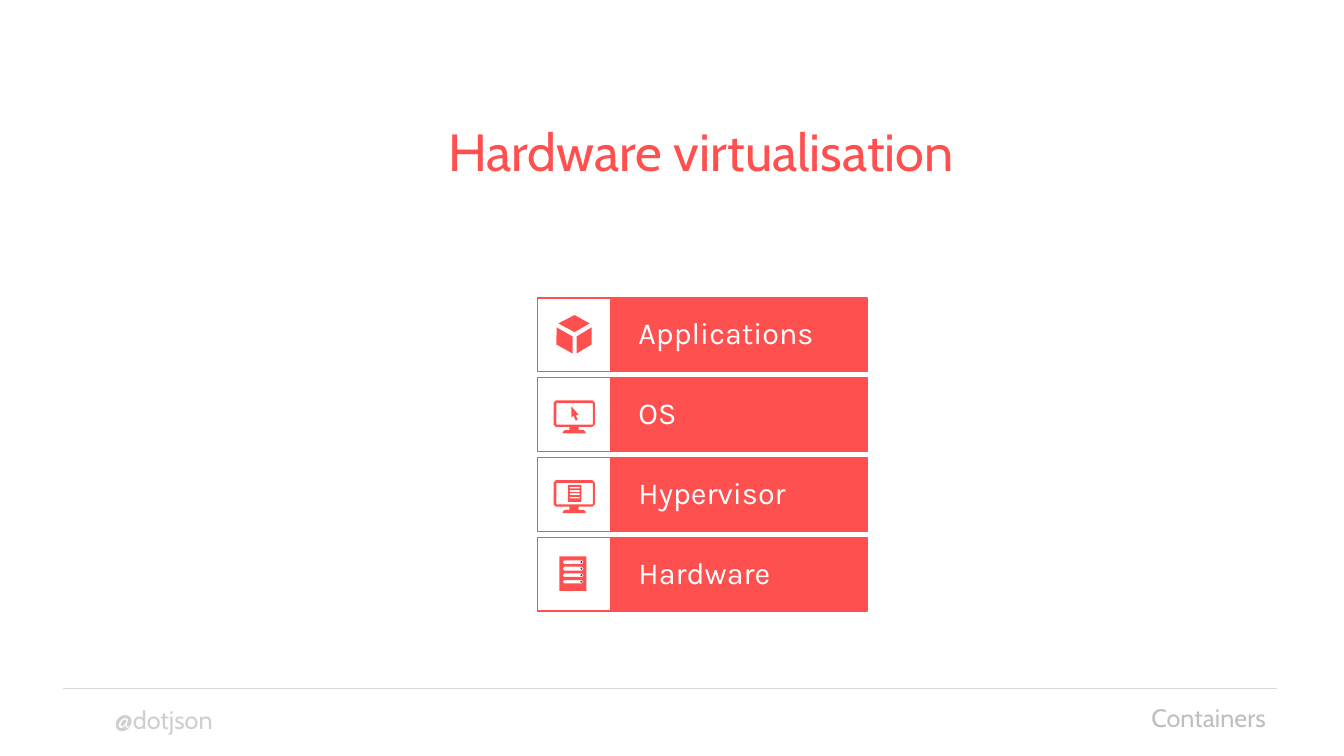
"""Build the hardware virtualisation stack slide."""
from lxml import etree
from pptx import Presentation
from pptx.dml.color import RGBColor
from pptx.enum import shapes, text
from pptx.oxml import ns
from pptx.util import Cm, Pt

RED, WHITE, PURPLE, RULE = "FF5050", "FFFFFF", "5C2D91", "D9D9D9"
TITLE = ("Hardware virtualisation", 37.3, RED, text.PP_ALIGN.CENTER)
FOOTERS = [
    ("@dotjson", (2.64, 17.63, 5.41, 1.02), "D0CECE", text.PP_ALIGN.LEFT),
    ("Containers", (23.06, 17.58, 9.09, 1.02), "BFBFBF", text.PP_ALIGN.RIGHT),
]
LAYERS = [("Applications", "cube"), ("OS", "desktop"),
          ("Hypervisor", "virtual"), ("Hardware", "server")]
LEFT, TOP, TILE, LABEL, PITCH = 13.54, 7.51, 1.86, 6.45, 2.01

# Icon outlines are in hundredths of a centimetre from the tile corner.
CUBE = [
    [(89, 97), (89, 140), (48, 117), (49, 74)],
    [(99, 97), (99, 140), (137, 117), (137, 74)],
    [(94, 86), (53, 64), (94, 43), (132, 64)],
]
MONITOR = [
    [(47, 57), (139, 57), (145, 63), (145, 118), (139, 124), (104, 124),
     (104, 132), (117, 132), (122, 137), (122, 140), (64, 140), (64, 137),
     (69, 132), (81, 132), (81, 124), (47, 124), (41, 118), (41, 63)],
    [(48, 64), (48, 118), (140, 118), (140, 64)],
]
CURSOR = [[(86, 72), (104, 93), (97, 95), (102, 105), (97, 108), (91, 95), (86, 100)]]
SLOTS, SLOT_PITCH = 4, 16.5


def rgb(value):
    return RGBColor.from_string(value)


def paint(sp, fill, line=None):
    sp.shadow.inherit = False
    sp.fill.solid()
    sp.fill.fore_color.rgb = rgb(fill)
    if line:
        sp.line.color.rgb = rgb(line)
        sp.line.width = Pt(1)
    else:
        sp.line.fill.background()


def write(sp, words, size, font, color, align, **frame):
    tf = sp.text_frame
    for name, value in {"word_wrap": True, **frame}.items():
        setattr(tf, name, value)
    p = tf.paragraphs[0]
    p.alignment = align
    r = p.add_run()
    r.text = words
    for name, value in {"name": font, "size": Pt(size), "bold": False}.items():
        setattr(r.font, name, value)
    r.font.color.rgb = rgb(color)
    return p


def add_box(s, kind, box, fill, line=None):
    sp = s.shapes.add_shape(kind, *map(Cm, box))
    paint(sp, fill, line)
    return sp


def add_outline(s, contours, x, y):
    first, *holes = contours
    fb = s.shapes.build_freeform(*first[0], scale=Cm(0.01))
    fb.add_line_segments(first[1:])
    for hole in holes:
        fb.move_to(*hole[0])
        fb.add_line_segments(hole[1:])
    paint(fb.convert_to_shape(Cm(x), Cm(y)), RED)


def server(left, top, scale):
    def place(points):
        return [(left + a * scale, top + b * scale) for a, b in points]

    slot = [(8, 4.5), (12, 9), (57, 9), (61, 4.5), (57, 0), (12, 0)]
    case = [(0, 0), (68, 0), (68, 87), (0, 87)]
    return [place(case)] + [
        place([(a, b + 10 + i * SLOT_PITCH) for a, b in slot]) for i in range(SLOTS)]


def add_icon(s, icon, x, y):
    outlines = {
        "cube": [[face] for face in CUBE],
        "desktop": [MONITOR, CURSOR],
        "virtual": [MONITOR, server(77, 69, 0.5)],
        "server": [server(56, 48, 1)],
    }
    for contours in outlines[icon]:
        add_outline(s, contours, x, y)
    if icon == "server":
        for i in range(SLOTS):
            light = (x + 1.09, y + 0.6 + i * SLOT_PITCH / 100, 0.05, 0.05)
            add_box(s, shapes.MSO_SHAPE.OVAL, light, PURPLE)


def add_layer(s, row, words, icon):
    y = TOP + row * PITCH
    square = shapes.MSO_SHAPE.RECTANGLE
    label = add_box(s, square, (LEFT + TILE, y, LABEL, TILE), RED, RED)
    p = write(label, words, 21.8, "Karla", WHITE, text.PP_ALIGN.LEFT,
              vertical_anchor=text.MSO_ANCHOR.MIDDLE,
              margin_left=Cm(0.69), margin_right=Cm(0.69),
              margin_top=Cm(0.56), margin_bottom=Cm(0.56))
    p.line_spacing = 0.9
    add_box(s, square, (LEFT, y, TILE, TILE), WHITE, RED)
    add_icon(s, icon, LEFT, y)


def main():
    prs = Presentation()
    prs.slide_width, prs.slide_height = Cm(33.87), Cm(19.05)
    s = prs.slides.add_slide(prs.slide_layouts[5])

    title = s.shapes.title
    title.left, title.top, title.width, title.height = map(Cm, (9.98, 2.87, 15.37, 1.85))
    words, size, color, align = TITLE
    write(title, words, size, "Cabin", color, align,
          auto_size=text.MSO_AUTO_SIZE.NONE, vertical_anchor=text.MSO_ANCHOR.TOP)

    rule = s.shapes.add_connector(shapes.MSO_CONNECTOR.STRAIGHT,
                                  *map(Cm, (1.6, 17.35, 32.18, 17.35)))
    rule.line.color.rgb = rgb(RULE)
    rule.line.width = Pt(1)
    etree.SubElement(rule._element.spPr, ns.qn("a:effectLst"))

    for words, box, color, align in FOOTERS:
        write(s.shapes.add_textbox(*map(Cm, box)), words, 18, "Cabin", color, align)
    for row, (words, icon) in enumerate(LAYERS):
        add_layer(s, row, words, icon)
    prs.save("out.pptx")


if __name__ == "__main__":
    main()
